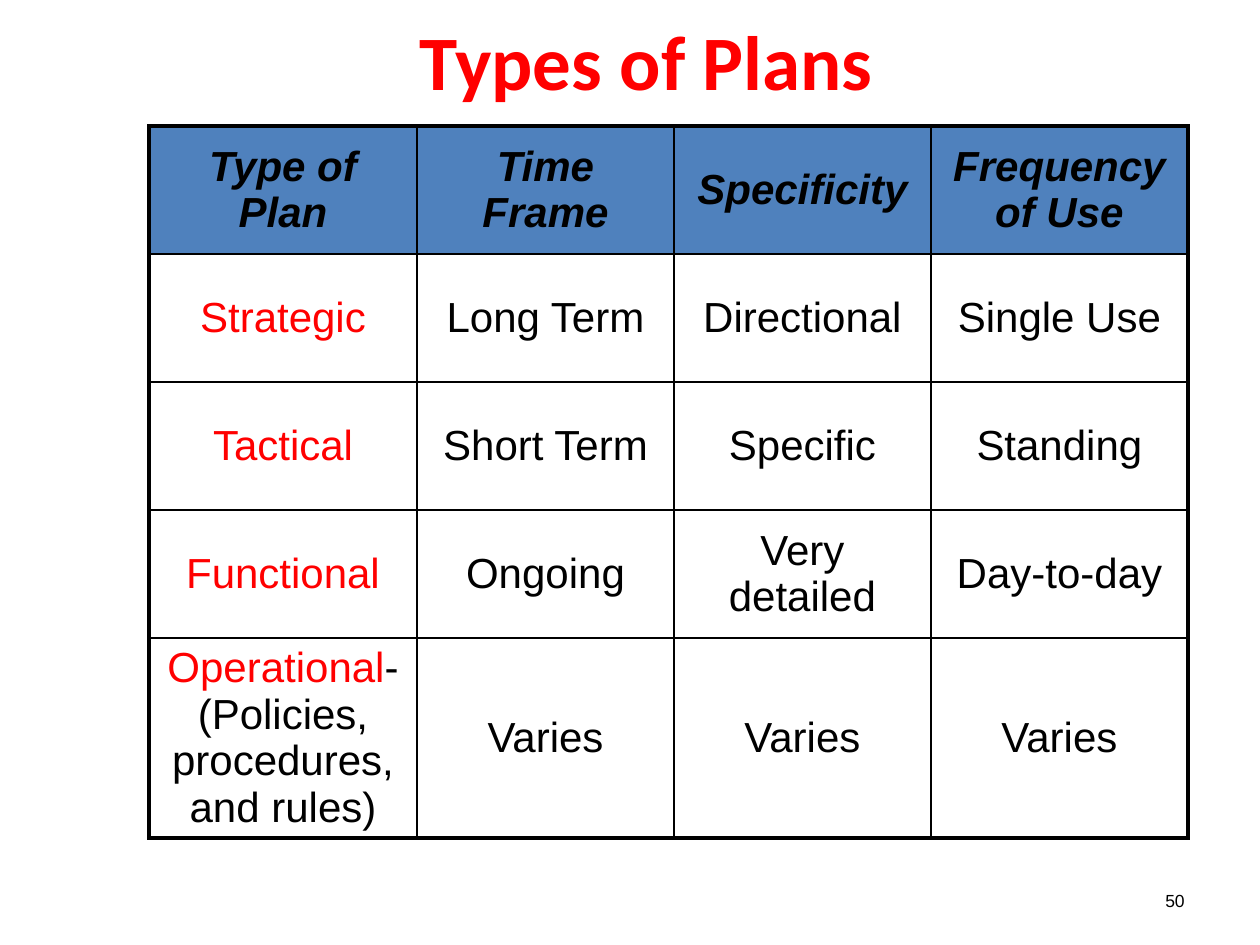
from lxml import etree
from pptx import Presentation
from pptx.dml.color import RGBColor
from pptx.enum import text
from pptx.oxml.ns import qn
from pptx.util import Pt

PX = 914400 // 126
INK = {"black": "000000", "red": "FF0000", "blue": "4F81BD"}


def write(frame, *runs, size=24, font="Arial", bold=False, italic=False,
          align=text.PP_ALIGN.CENTER):
    """Fill the frame with one paragraph of (words, colour) runs."""
    frame.word_wrap = True
    para = frame.paragraphs[0]
    para.alignment = align
    for words, ink in runs:
        run = para.add_run()
        run.text = words
        run.font.size, run.font.name = Pt(size), font
        run.font.bold, run.font.italic = bold, italic
        run.font.color.rgb = RGBColor.from_string(INK[ink])


def edge(cell, side, width):
    """Draw one black border; side is L, R, T or B."""
    line = etree.SubElement(cell._tc.get_or_add_tcPr(), qn("a:ln" + side), w=str(Pt(width)))
    fill = etree.SubElement(line, qn("a:solidFill"))
    etree.SubElement(fill, qn("a:srgbClr"), val=INK["black"])


deck = Presentation()
deck.slide_width, deck.slide_height = 1260 * 914400 // 126, 945 * 914400 // 126
slide = deck.slides.add_slide(deck.slide_layouts[5])

# Title
title = slide.shapes.title
title.left, title.top, title.width, title.height = 106 * PX, 0, 1081 * PX, 120 * PX
title.text_frame.auto_size = text.MSO_AUTO_SIZE.NONE
title.text_frame.vertical_anchor = text.MSO_ANCHOR.MIDDLE
write(title.text_frame, ("Types of Plans", "red"), size=44, font="Calibri", bold=True)

# Table of plans
ROWS = [
    ["Type of Plan", "Time Frame", "Specificity", "Frequency of Use"],
    ["Strategic", "Long Term", "Directional", "Single Use"],
    ["Tactical", "Short Term", "Specific", "Standing"],
    ["Functional", "Ongoing", "Very detailed", "Day-to-day"],
    ["Operational", "Varies", "Varies", "Varies"],
]
NOTE = "-(Policies, procedures, and rules)"
WIDE = [268, 257, 257, 257]
HIGH = [128, 128, 128, 128, 200]
last_row, last_col = len(HIGH) - 1, len(WIDE) - 1

grid = slide.shapes.add_table(len(HIGH), len(WIDE), 149 * PX, 126 * PX,
                              sum(WIDE) * PX, sum(HIGH) * PX).table
for col, wide in zip(grid.columns, WIDE):
    col.width = wide * PX
for row, high in zip(grid.rows, HIGH):
    row.height = high * PX

for r, names in enumerate(ROWS):
    for c, name in enumerate(names):
        cell = grid.cell(r, c)
        cell.vertical_anchor = text.MSO_ANCHOR.MIDDLE
        outer = {"L": c == 0, "R": c == last_col, "T": r == 0, "B": r == last_row}
        for side, thick in outer.items():
            edge(cell, side, 2.25 if thick else 1)
        head = r == 0
        if head:
            cell.fill.solid()
            cell.fill.fore_color.rgb = RGBColor.from_string(INK["blue"])
        else:
            cell.fill.background()
        runs = [(name, "red" if c == 0 and not head else "black")]
        if r == last_row and c == 0:
            runs.append((NOTE, "black"))
        write(cell.text_frame, *runs, bold=head, italic=head)

# Page number
page = slide.shapes.add_textbox(903 * PX, 876 * PX, 294 * PX, 50 * PX).text_frame
page.vertical_anchor = text.MSO_ANCHOR.MIDDLE
write(page, ("50", "black"), size=10, align=text.PP_ALIGN.RIGHT)

deck.save("out.pptx")
